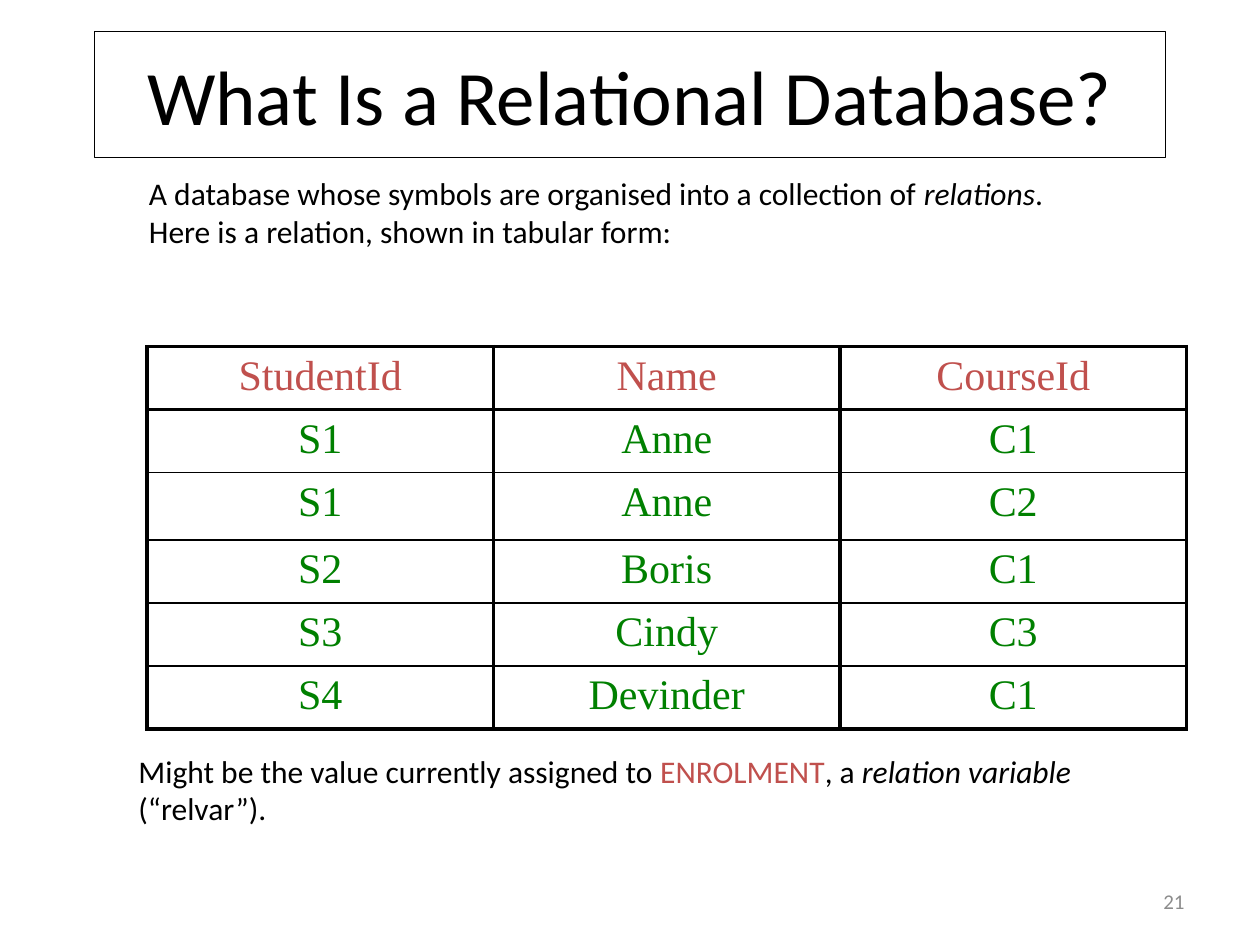
from lxml import etree
from pptx import Presentation
from pptx.dml.color import RGBColor
from pptx.enum.shapes import MSO_SHAPE
from pptx.enum.text import MSO_ANCHOR, PP_ALIGN
from pptx.oxml.ns import qn
from pptx.util import Inches, Pt

BLACK = RGBColor(0x00, 0x00, 0x00)
GREY = RGBColor(0x8C, 0x8C, 0x8C)
RED = RGBColor(0xC0, 0x50, 0x4D)
GREEN = RGBColor(0x00, 0x80, 0x00)

LEFT, CENTER, RIGHT = PP_ALIGN.LEFT, PP_ALIGN.CENTER, PP_ALIGN.RIGHT
TOP, MIDDLE = MSO_ANCHOR.TOP, MSO_ANCHOR.MIDDLE
RECTANGLE = MSO_SHAPE.RECTANGLE

SLIDE_WIDTH, SLIDE_HEIGHT = Inches(10), Inches(7.5)
GRID_COLUMNS, GRID_ROWS = 120, 90
BODY_FONT, TABLE_FONT = "Calibri", "Times New Roman"
THICK, THIN = 2.25, 1

ENROLMENT = [
    ("StudentId", "Name", "CourseId"),
    ("S1", "Anne", "C1"),
    ("S1", "Anne", "C2"),
    ("S2", "Boris", "C1"),
    ("S3", "Cindy", "C3"),
    ("S4", "Devinder", "C1"),
]
ROW_HEIGHTS = [6, 6, 6.4, 6, 6, 6]


def across(columns):
    return round(SLIDE_WIDTH * columns / GRID_COLUMNS)


def down(rows):
    return round(SLIDE_HEIGHT * rows / GRID_ROWS)


def place(box):
    left, top, width, height = box
    return across(left), down(top), across(width), down(height)


def add_run(paragraph, text, size, color=BLACK, font=BODY_FONT, italic=False):
    run = paragraph.add_run()
    run.text = text
    run.font.name = font
    run.font.size = Pt(size)
    run.font.italic = italic
    run.font.color.rgb = color


def add_title(slide, box, text):
    shape = slide.shapes.add_shape(RECTANGLE, *place(box))
    shape.shadow.inherit = False
    shape.fill.background()
    shape.line.color.rgb = BLACK
    shape.line.width = Pt(0.75)
    shape.text_frame.word_wrap = True
    shape.text_frame.vertical_anchor = MIDDLE
    paragraph = shape.text_frame.paragraphs[0]
    paragraph.alignment = CENTER
    add_run(paragraph, text, 44)


def add_text(slide, box, runs, size=18, alignment=LEFT, anchor=TOP):
    frame = slide.shapes.add_textbox(*place(box)).text_frame
    frame.word_wrap = True
    frame.vertical_anchor = anchor
    paragraph = frame.paragraphs[0]
    paragraph.alignment = alignment
    for text, color, italic in runs:
        add_run(paragraph, text, size, color, italic=italic)


def set_borders(cell, top, bottom):
    properties = cell._tc.get_or_add_tcPr()
    widths = {"a:lnL": THICK, "a:lnR": THICK, "a:lnT": top, "a:lnB": bottom}
    for tag, width in widths.items():
        line = etree.SubElement(properties, qn(tag), w=str(Pt(width)))
        fill = etree.SubElement(line, qn("a:solidFill"))
        etree.SubElement(fill, qn("a:srgbClr"), val=str(BLACK))


def add_relation(slide, box, records, row_heights):
    last = len(records) - 1
    table = slide.shapes.add_table(
        len(records), len(records[0]), *place(box)
    ).table
    table.first_row = False
    table.horz_banding = False
    for column in table.columns:
        column.width = across(box[2] / len(records[0]))
    for index, (record, height) in enumerate(zip(records, row_heights)):
        table.rows[index].height = down(height)
        top = THICK if index <= 1 else THIN
        bottom = THICK if index in (0, last) else THIN
        for cell, text in zip(table.rows[index].cells, record):
            set_borders(cell, top, bottom)
            cell.fill.background()
            paragraph = cell.text_frame.paragraphs[0]
            paragraph.alignment = CENTER
            color = RED if index == 0 else GREEN
            add_run(paragraph, text, 24, color, TABLE_FONT)


def main():
    presentation = Presentation()
    presentation.slide_width = SLIDE_WIDTH
    presentation.slide_height = SLIDE_HEIGHT
    slide = presentation.slides.add_slide(presentation.slide_layouts[6])

    add_title(slide, (9, 3, 102, 12), "What Is a Relational Database?")
    add_text(slide, (13, 16, 92, 15.6), [
        ("A database whose symbols are organised into a collection of ",
         BLACK, False),
        ("relations", BLACK, True),
        (". Here is a relation, shown in tabular form:", BLACK, False),
    ])
    add_relation(slide, (14, 33, 99, sum(ROW_HEIGHTS)), ENROLMENT, ROW_HEIGHTS)
    add_text(slide, (12, 71, 98, 10.8), [
        ("Might be the value currently assigned to ", BLACK, False),
        ("ENROLMENT", RED, False),
        (", a ", BLACK, False),
        ("relation variable", BLACK, True),
        (" (“relvar”).", BLACK, False),
    ])
    add_text(slide, (86, 83.4, 28, 4.8), [("21", GREY, False)],
             size=12, alignment=RIGHT, anchor=MIDDLE)

    presentation.save("out.pptx")


if __name__ == "__main__":
    main()
